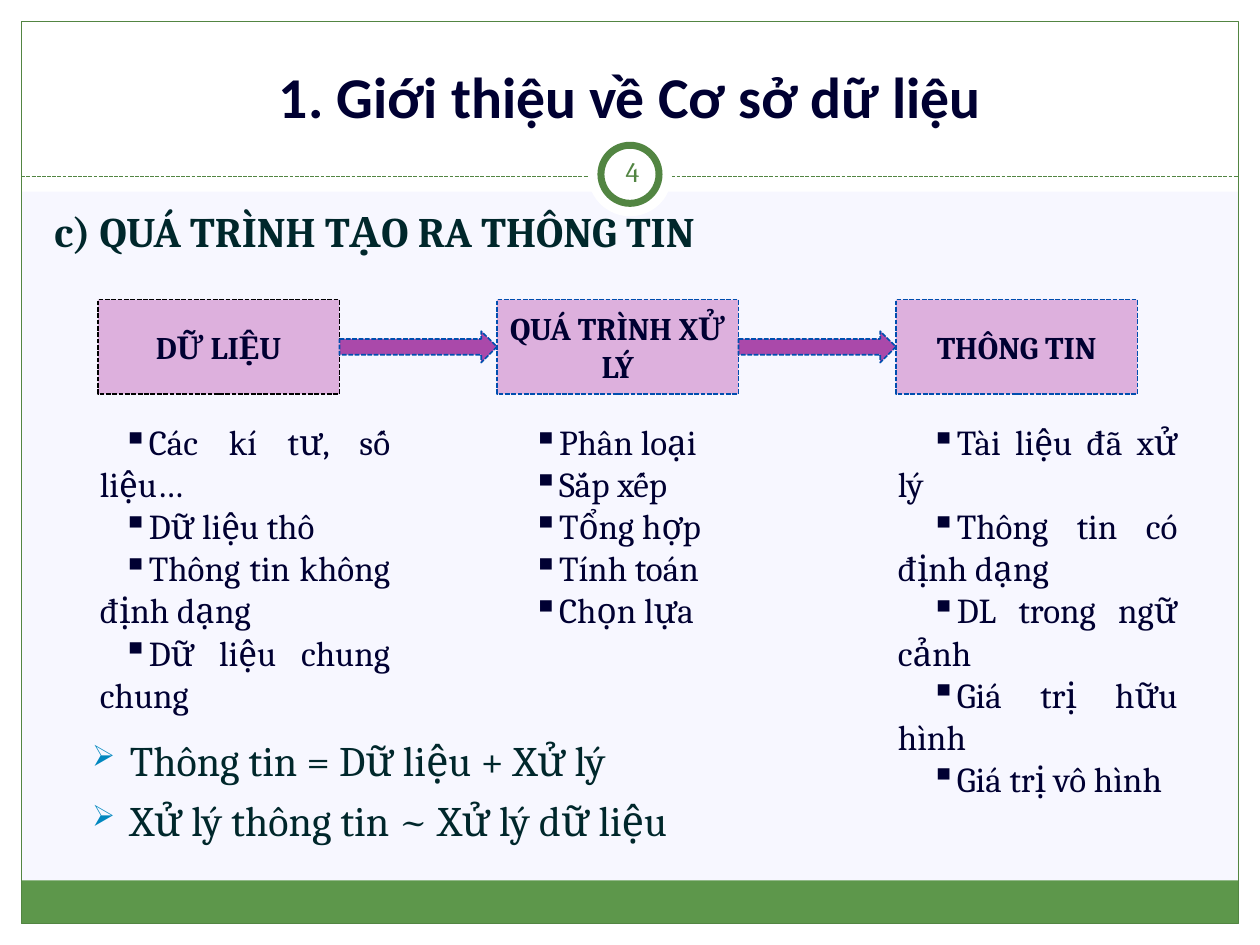
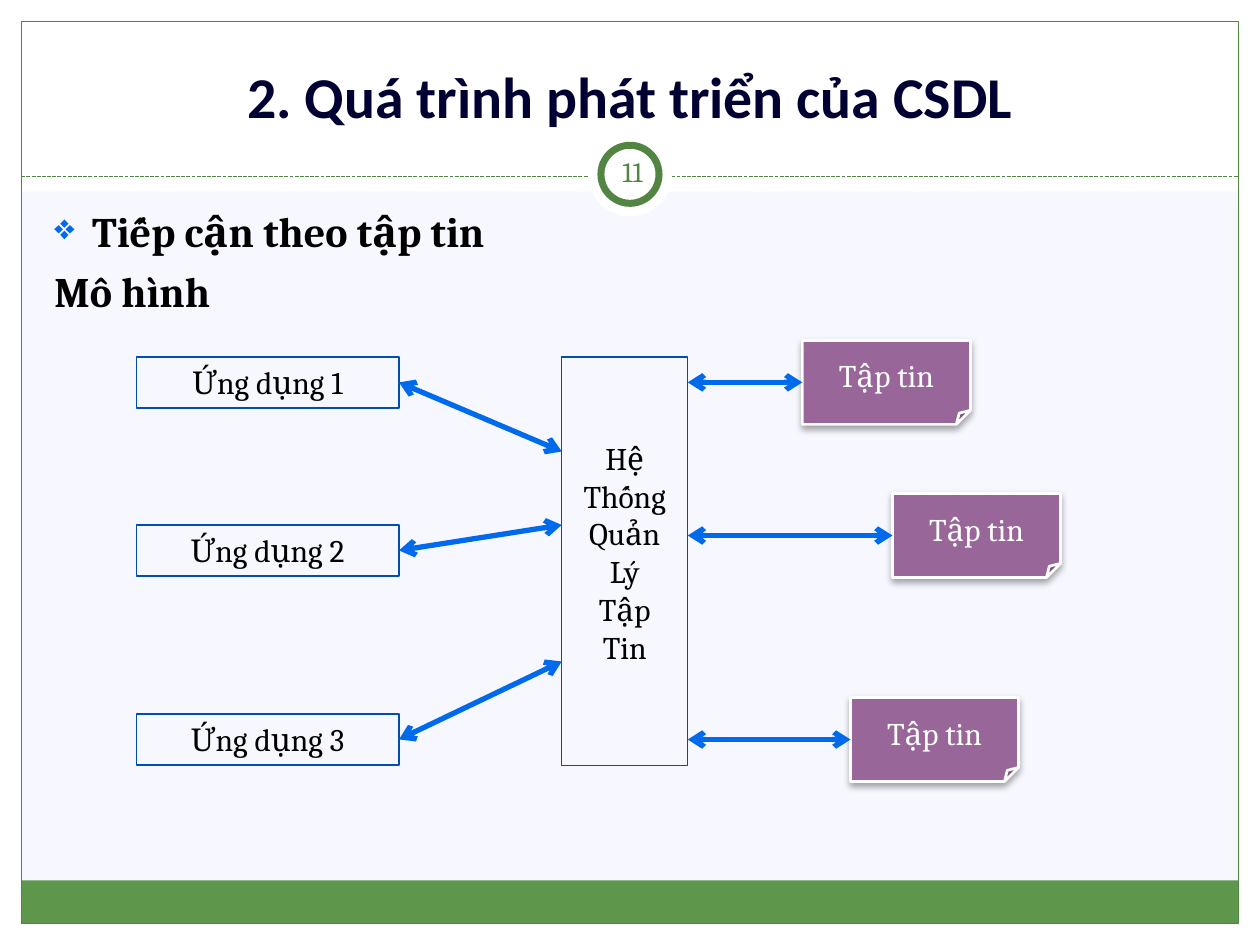
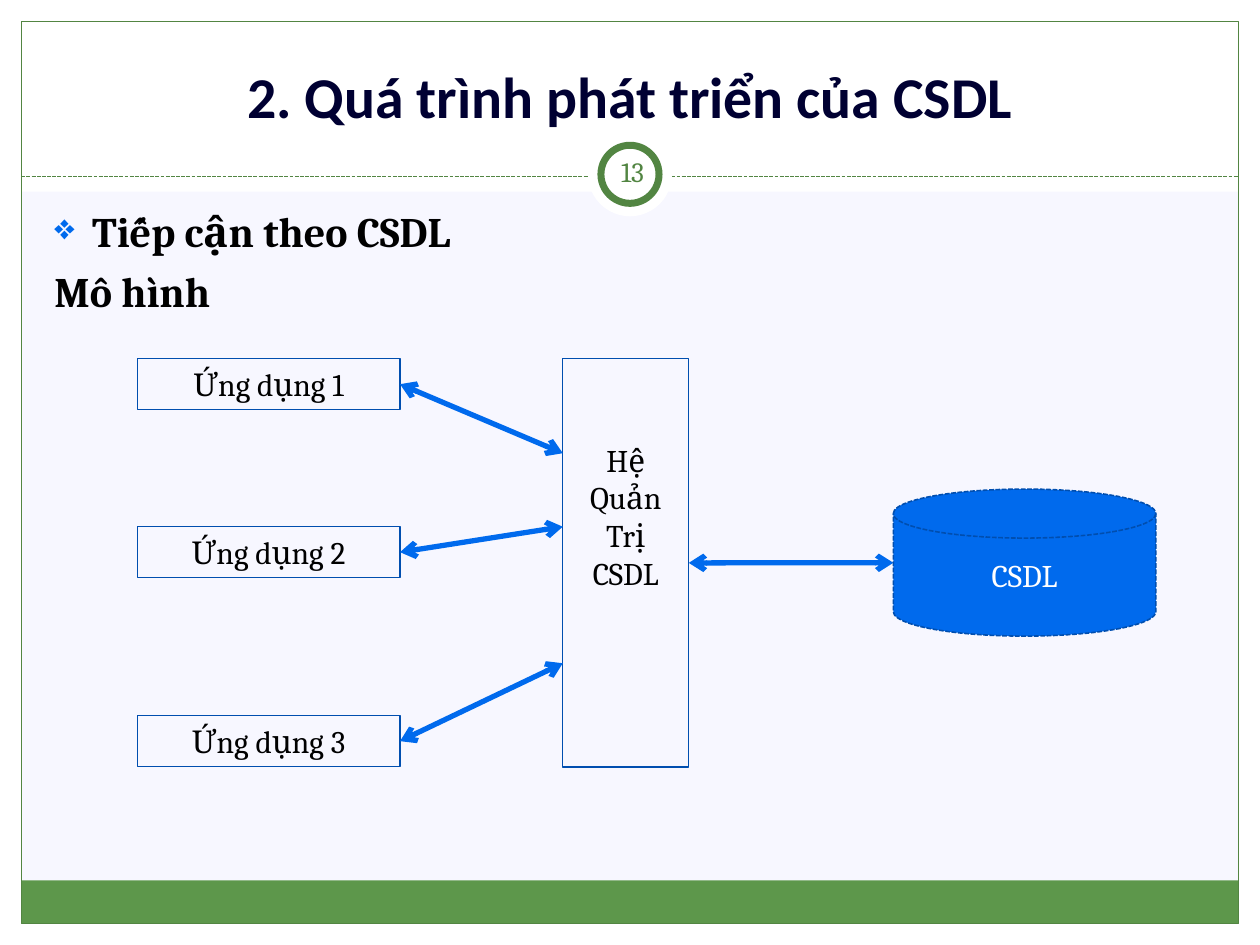
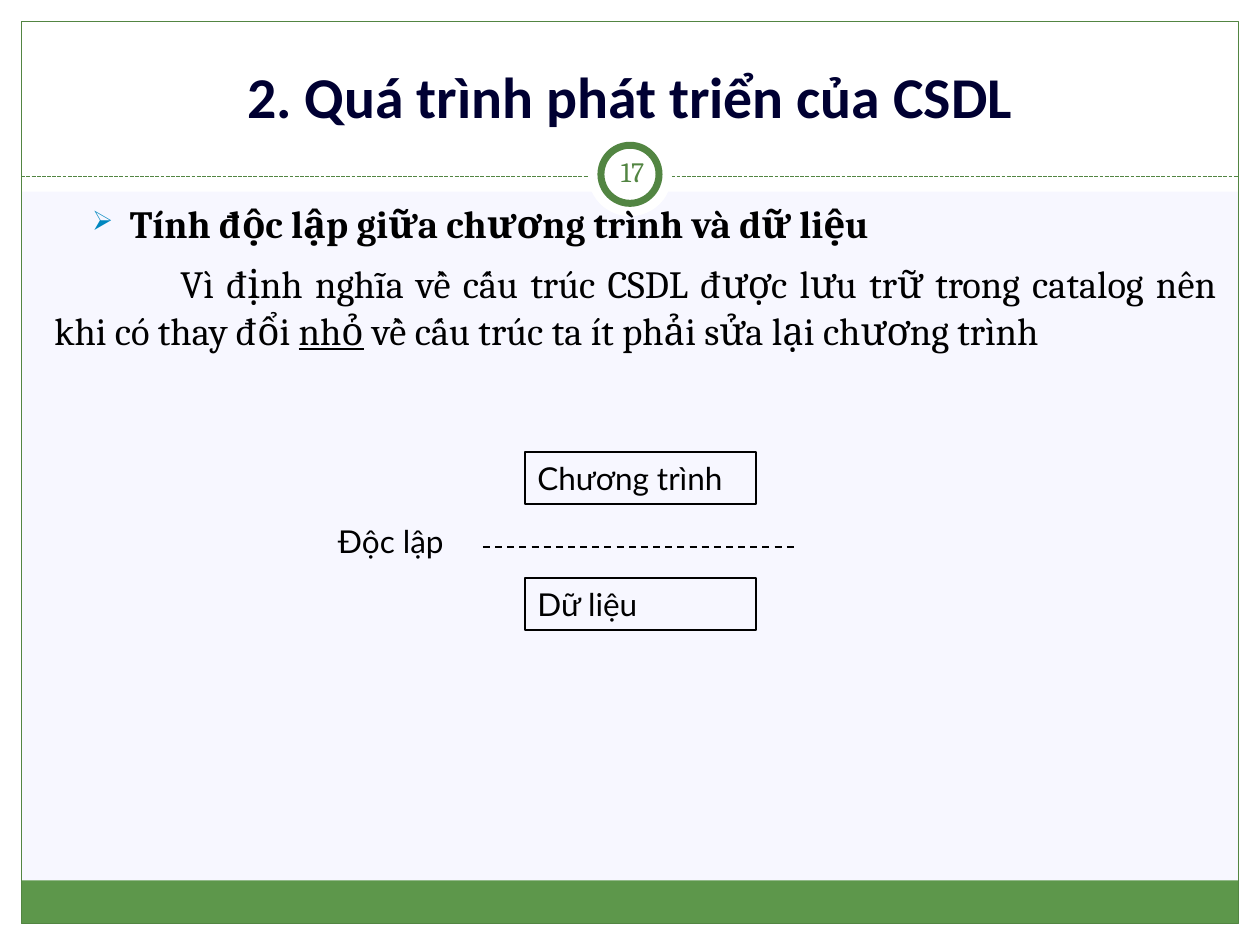
from lxml import etree
from pptx import Presentation
from pptx import util as u
from pptx.dml.color import RGBColor
from pptx.enum import dml, shapes, text
from pptx.oxml import ns

Pt = u.Pt
SHAPE = shapes.MSO_SHAPE
ALIGN = text.PP_ALIGN
ANCHOR = text.MSO_ANCHOR
DASH = dml.MSO_LINE

C = {
    "bg": "F7F7FF", "white": "FFFFFF", "black": "000000", "band": "5D974B",
    "green": "528542", "navy": "000032", "teal": "00272B", "cyan": "0087BF",
    "blue": "006AED", "edge": "004EAF", "pink": "DDB0DD", "violet": "AA49AA",
    "file": "996699",
}
W, H, MARGIN = 720, 540, 12.2
LINE_GAP = 5.6
STAGE_TITLE = "2. Quá trình phát triển của CSDL"


def rgb(name):
    """Return the named palette colour."""
    return RGBColor.from_string(C[name])


def child(parent, tag, **attrs):
    """Append a DrawingML element."""
    return etree.SubElement(parent, ns.qn("a:" + tag), attrs)


def shape(s, kind, x, y, w, h, fill=None, line=None, width=0.75, dash=None):
    """Add a flat preset shape."""
    sp = s.shapes.add_shape(kind, Pt(x), Pt(y), Pt(w), Pt(h))
    sp.shadow.inherit = False
    if fill:
        sp.fill.solid()
        sp.fill.fore_color.rgb = rgb(fill)
    else:
        sp.fill.background()
    if line:
        sp.line.color.rgb = rgb(line)
        sp.line.width = Pt(width)
        sp.line.dash_style = dash
    else:
        sp.line.fill.background()
    return sp


def textbox(s, x, y, w, h, anchor=ANCHOR.TOP):
    """Add a wrapping text box and return its frame."""
    tf = s.shapes.add_textbox(Pt(x), Pt(y), Pt(w), Pt(h)).text_frame
    tf.word_wrap = True
    tf.vertical_anchor = anchor
    return tf


def bullet(p, char, left, indent, color=None, percent=100):
    """Give a paragraph a bullet and its indents."""
    pPr = p._p.get_or_add_pPr()
    pPr.set("marL", str(Pt(left)))
    pPr.set("indent", str(Pt(indent)))
    if color:
        child(child(pPr, "buClr"), "srgbClr", val=C[color])
    child(pPr, "buSzPct", val=str(percent * 1000))
    child(pPr, "buChar", char=char)


def write(tf, words, size=18, color="black", font="Cambria", bold=False,
          align=ALIGN.LEFT, before=0, spacing=None, mark=None):
    """Write one paragraph, after any that the frame already holds."""
    p = tf.add_paragraph() if tf.text else tf.paragraphs[0]
    p.text = words
    p.alignment = align
    p.space_before = Pt(before)
    if spacing:
        p.line_spacing = spacing
    if mark:
        bullet(p, *mark)
    p.font.size = Pt(size)
    p.font.name = font
    p.font.bold = bold
    p.font.color.rgb = rgb(color)
    return p


def label(sp, words, anchor=ANCHOR.MIDDLE, align=ALIGN.CENTER, **style):
    """Write a label inside a shape."""
    tf = sp.text_frame
    tf.word_wrap = True
    tf.vertical_anchor = anchor
    write(tf, words, align=align, **style)


def connect(s, start, end, color, width, dash=None, arrows=False,
            begin=None, finish=None):
    """Draw a straight line, joined to (shape, side) where given."""
    cn = s.shapes.add_connector(shapes.MSO_CONNECTOR.STRAIGHT,
                                *(Pt(v) for v in (*start, *end)))
    if begin:
        cn.begin_connect(*begin)
    if finish:
        cn.end_connect(*finish)
    cn.line.color.rgb = rgb(color)
    cn.line.width = Pt(width)
    cn.line.dash_style = dash
    if arrows:
        ln = cn.line._get_or_add_ln()
        child(ln, "headEnd", type="arrow")
        child(ln, "tailEnd", type="arrow")
    child(cn._element.spPr, "effectLst")


def new_slide(prs, title, number):
    """Add a slide with the shared frame, title and number."""
    s = prs.slides.add_slide(prs.slide_layouts[6])
    s.background.fill.solid()
    s.background.fill.fore_color.rgb = rgb("bg")
    inner_w, inner_h = W - 2 * MARGIN, H - 2 * MARGIN
    for box in ((0, H - MARGIN, W, MARGIN), (0, 0, W, 109.5),
                (0, 0, MARGIN, H), (W - MARGIN, 0, MARGIN, H)):
        shape(s, SHAPE.RECTANGLE, *box, fill="white")
    shape(s, SHAPE.RECTANGLE, MARGIN, 503, inner_w, 24.8, fill="band")
    shape(s, SHAPE.RECTANGLE, MARGIN, MARGIN, inner_w, inner_h, line="green")
    connect(s, (MARGIN, 100.8), (W - MARGIN, 100.8), "green", 0.75,
            DASH.SQUARE_DOT)
    shape(s, SHAPE.OVAL, 336, 75.6, 48, 48, fill="white")
    shape(s, SHAPE.OVAL, 343.4, 83, 33.2, 33.2, "white", "green", 4)
    write(textbox(s, 24, 18, 672, 60, ANCHOR.BOTTOM), title, 33, "navy",
          "Calibri", True, ALIGN.CENTER)
    tf = textbox(s, 343.5, 80.6, 36, 34.6, ANCHOR.MIDDLE)
    tf.margin_left = tf.margin_right = Pt(3.6)
    write(tf, number, 16, "green", align=ALIGN.CENTER)
    return s


def body(s, top=114, height=390):
    """Add the body text frame."""
    return textbox(s, 24, top, 678, height)


def square_list(s, x, w, h, indent, items, align=ALIGN.JUSTIFY):
    """Add a list with square bullets."""
    tf = textbox(s, x, 237, w, h)
    for item in items:
        write(tf, item, 20, "navy", align=align, mark=("▪", 0, indent))


def model_heading(s, approach):
    """Write the approach and the model heading."""
    tf = body(s, height=80)
    write(tf, approach, 24, bold=True, mark=("❖", 21.6, -21.6, "blue", 85))
    write(tf, "Mô hình", 24, bold=True, before=LINE_GAP)


def applications(s, x, y, hub_words):
    """Draw three applications linked to a hub, and return the hub."""
    hub_x = x + 243
    hub = shape(s, SHAPE.RECTANGLE, hub_x, y, 72, 233.3, line="edge")
    hub.text_frame.margin_top = Pt(46.8)
    for word in hub_words:
        label(hub, word, ANCHOR.TOP)
    rows = ((0, 54), (96, 96), (204, 174))
    for i, (app_dy, hub_dy) in enumerate(rows, 1):
        app = shape(s, SHAPE.RECTANGLE, x, y + app_dy, 150, 29.1, line="edge")
        label(app, f"Ứng dụng {i}", ANCHOR.TOP)
        connect(s, (x + 150, y + app_dy + 14.5), (hub_x, y + hub_dy),
                "blue", 3, arrows=True, begin=(app, 3))
    return hub


def file_card(s, x, y):
    """Draw a file with a folded corner and a soft shadow."""
    sp = shape(s, SHAPE.FOLDED_CORNER, x, y, 96, 48, "file", "white", 1.57)
    effects = sp._element.spPr.find(ns.qn("a:effectLst"))
    shadow = child(effects, "outerShdw", blurRad=str(Pt(4)), dist=str(Pt(2)),
                   dir="5400000", rotWithShape="0")
    child(child(shadow, "srgbClr", val=C["black"]), "alpha", val="35000")
    label(sp, "Tập tin", color="white")
    return sp


def information_slide(prs):
    """Show how data becomes information."""
    s = new_slide(prs, "1. Giới thiệu về Cơ sở dữ liệu", "4")
    write(body(s, height=40), "c) QUÁ TRÌNH TẠO RA THÔNG TIN", 24, "teal",
          bold=True)
    tf = body(s, 416, 80)
    for i, words in enumerate(("Thông tin = Dữ liệu + Xử lý",
                               "Xử lý thông tin ~ Xử lý dữ liệu")):
        write(tf, words, 24, "teal", before=LINE_GAP * i,
              mark=("➢", 43.2, -21.6, "cyan", 70))
    steps = (("DỮ LIỆU", "black"), ("QUÁ TRÌNH XỬ LÝ", "edge"),
             ("THÔNG TIN", "edge"))
    left, step, width = 56, 228, 138
    for i, (words, line) in enumerate(steps):
        x = left + i * step
        sp = shape(s, SHAPE.RECTANGLE, x, 171.2, width, 54, "pink", line, 0.9,
                   DASH.SQUARE_DOT)
        label(sp, words, color="navy", bold=True)
        if i < len(steps) - 1:
            shape(s, SHAPE.RIGHT_ARROW, x + width, 189.2, step - width, 18,
                  "violet", "edge", 0.9, DASH.SQUARE_DOT)
    square_list(s, 284.4, 132, 128, 13, ("Phân loại", "Sắp xếp", "Tổng hợp",
                                         "Tính toán", "Chọn lựa"), ALIGN.LEFT)
    square_list(s, 506, 174, 177, 18.7, (
        "Tài liệu đã xử lý", "Thông tin có định dạng", "DL trong ngữ cảnh",
        "Giá trị hữu hình", "Giá trị vô hình"))
    square_list(s, 50, 180, 153, 13, (
        "Các kí tư, số liệu…", "Dữ liệu thô", "Thông tin không định dạng",
        "Dữ liệu chung chung"))


def file_model_slide(prs):
    """Show the file approach."""
    s = new_slide(prs, STAGE_TITLE, "11")
    model_heading(s, "Tiếp cận theo tập tin")
    applications(s, 78, 204, ("Hệ", "Thống", "Quản", "Lý", "Tập", "Tin"))
    for x, y in ((458.5, 194.5), (510, 282), (486, 398.6)):
        card = file_card(s, x, y)
        link_y = y + 24
        connect(s, (393, link_y), (x, link_y), "blue", 3, arrows=True,
                finish=(card, 1))


def database_model_slide(prs):
    """Show the database approach."""
    s = new_slide(prs, STAGE_TITLE, "13")
    model_heading(s, "Tiếp cận theo CSDL")
    hub = applications(s, 78.6, 205, ("Hệ", "Quản", "Trị", "CSDL"))
    connect(s, (393.6, 321.6), (510.5, 321.6), "blue", 3, arrows=True,
            begin=(hub, 3))
    disk = shape(s, SHAPE.FLOWCHART_MAGNETIC_DISK, 510.5, 279.5, 150, 84,
                 "blue", "edge", 0.9, DASH.SQUARE_DOT)
    label(disk, "CSDL", color="white")


def independence_slide(prs):
    """Show that programs and data are independent."""
    s = new_slide(prs, STAGE_TITLE, "17")
    tf = body(s)
    write(tf, "Tính độc lập giữa chương trình và dữ liệu", 22, bold=True,
          spacing=0.9, mark=("➢", 43.2, -21.6, "cyan", 70))
    p = write(tf, "Vì định nghĩa về cấu trúc CSDL được lưu trữ trong catalog "
              "nên khi có thay đổi ", 22, align=ALIGN.JUSTIFY, before=7.5)
    p._p.get_or_add_pPr().set("indent", str(Pt(72)))
    r = p.add_run()
    r.text = "nhỏ"
    r.font.underline = True
    p.add_run().text = " về cấu trúc ta ít phải sửa lại chương trình"
    write(textbox(s, 186, 294.5, 84, 29), "Độc lập", font="Lato")
    for y, words in ((258.5, "Chương trình"), (330.5, "Dữ liệu")):
        sp = shape(s, SHAPE.RECTANGLE, 300, y, 132, 29.5, line="black",
                   width=1)
        label(sp, words, ANCHOR.TOP, ALIGN.LEFT, font="Lato")
    connect(s, (276, 312.5), (456, 312.5), "black", 1, DASH.DASH)


def main():
    """Build the deck."""
    prs = Presentation()
    prs.slide_width, prs.slide_height = Pt(W), Pt(H)
    information_slide(prs)
    file_model_slide(prs)
    database_model_slide(prs)
    independence_slide(prs)
    prs.save("out.pptx")


if __name__ == "__main__":
    main()
